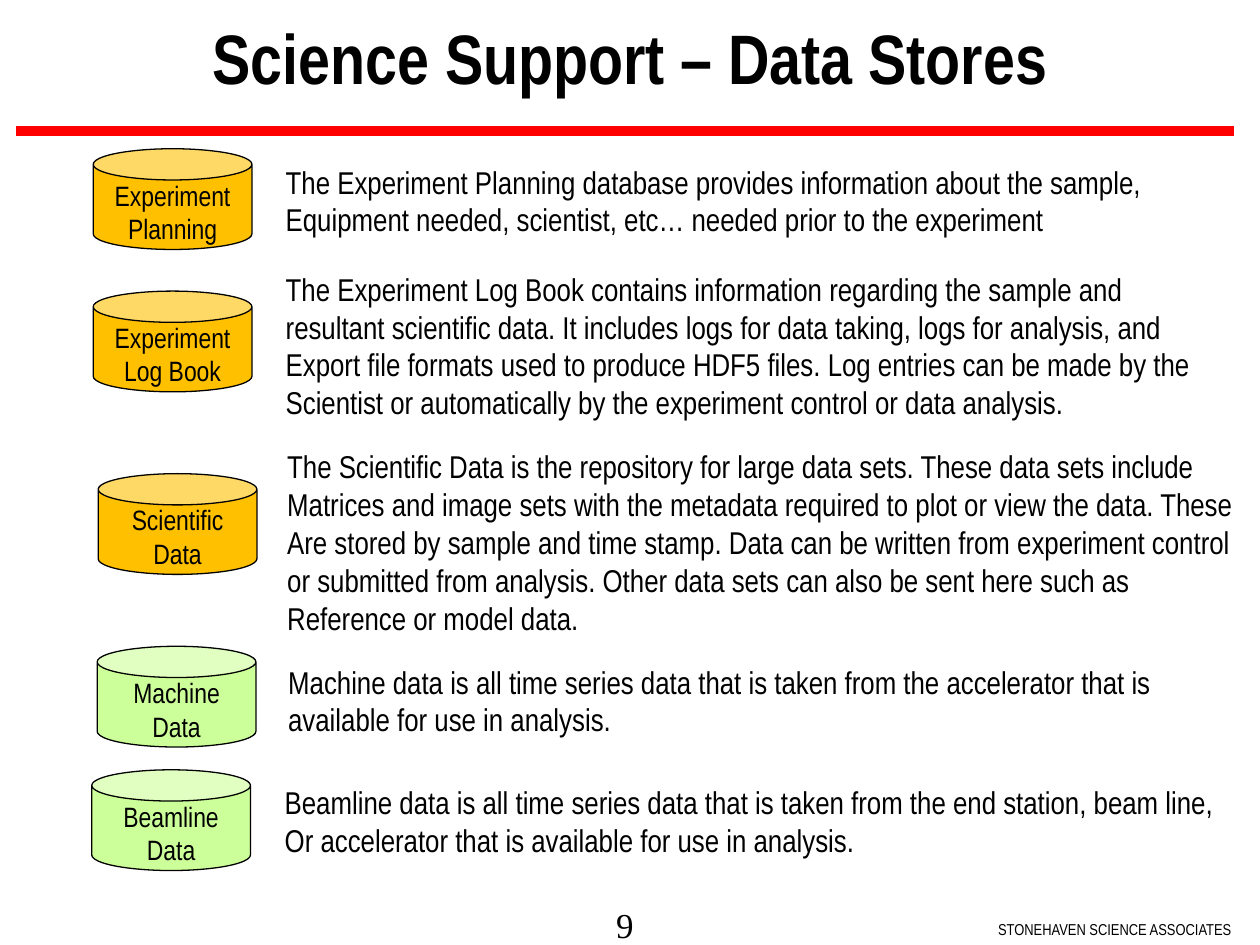
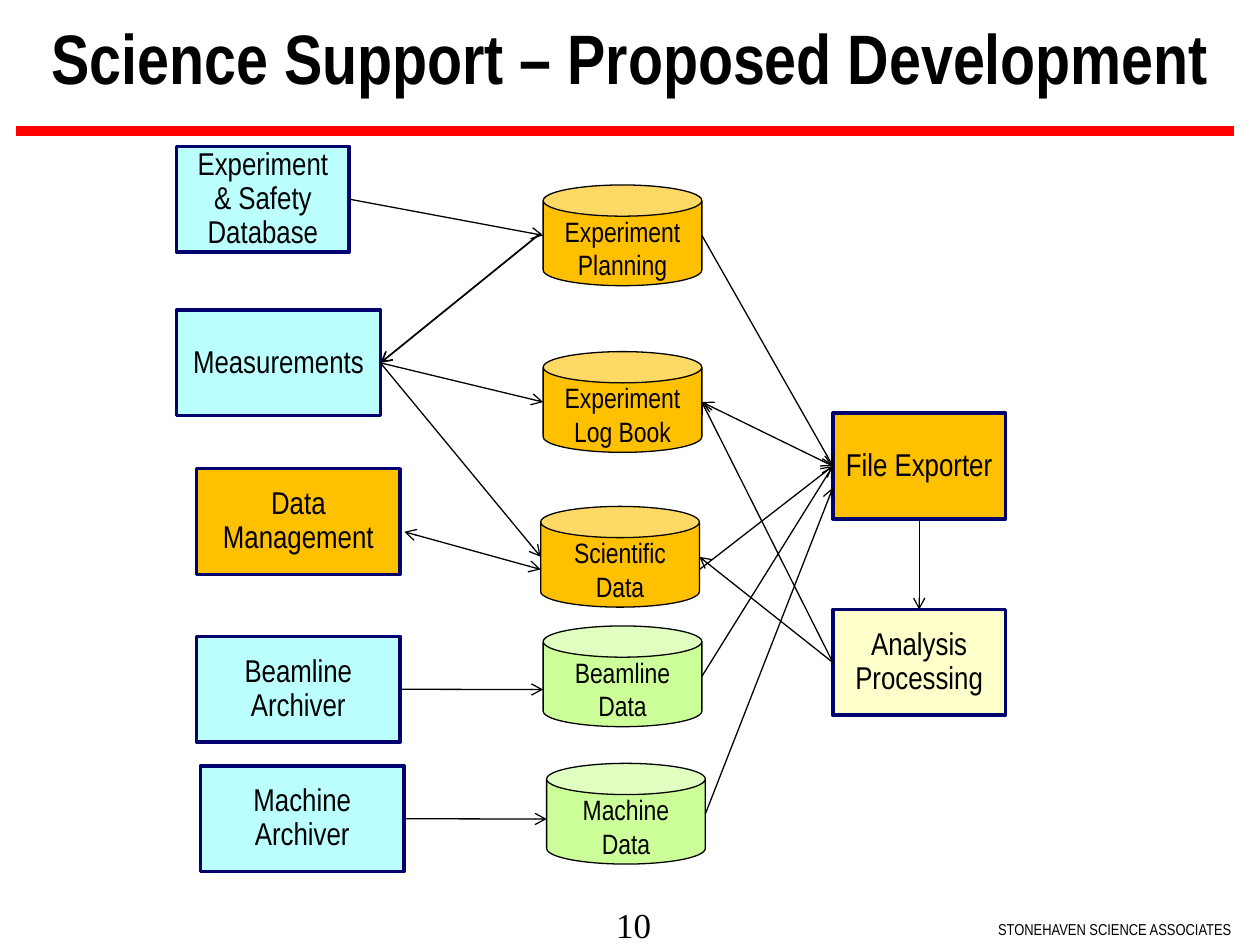
import pptx
import pptx.util
import pptx.dml.color
import pptx.enum.shapes
import pptx.enum.text
import pptx.oxml.ns
import lxml.etree

Cm = pptx.util.Cm
Pt = pptx.util.Pt
RGBColor = pptx.dml.color.RGBColor
KIND = pptx.enum.shapes.MSO_SHAPE
LINE = pptx.enum.shapes.MSO_CONNECTOR.STRAIGHT
ALIGN = pptx.enum.text.PP_ALIGN
MIDDLE = pptx.enum.text.MSO_ANCHOR.MIDDLE

BLACK = RGBColor(0, 0, 0)
RED = RGBColor(0xFF, 0, 0)
NAVY = RGBColor(0, 0, 0x6F)
GOLD = RGBColor(0xFF, 0xC0, 0)
GREEN = RGBColor(0xCC, 0xFF, 0x99)
CYAN = RGBColor(0xBC, 0xFF, 0xFF)
CREAM = RGBColor(0xFF, 0xFF, 0xCC)

CAN_W, CAN_H = 3.2, 2.03
BOX_H = 2.13


def write(text, shape, size=18, font="Arial Narrow", bold=False, center=False,
          middle=False, wrap=True, inset=(0.25, 0.13), spacing=None, before=None):
    """Fill a shape with text, one paragraph for each line."""
    frame = shape.text_frame
    frame.word_wrap = wrap
    frame.margin_left = frame.margin_right = Cm(inset[0])
    frame.margin_top = frame.margin_bottom = Cm(inset[1])
    if middle:
        frame.vertical_anchor = MIDDLE
    frame.text = text
    for para in frame.paragraphs:
        para.alignment = ALIGN.CENTER if center else ALIGN.LEFT
        if spacing:
            para.line_spacing = spacing
        if before:
            para.space_before = Pt(before)
        para.font.size = Pt(size)
        para.font.name = font
        para.font.bold = bold
        para.font.color.rgb = BLACK


def link(slide, start, end, color=BLACK, width=0.75, heads=()):
    """Draw a line; each end is a point in cm or a (shape, side) pair."""
    points = [(0, 0) if isinstance(e[1], int) else e for e in (start, end)]
    line = slide.shapes.add_connector(LINE, *[Cm(v) for p in points for v in p])
    if isinstance(start[1], int):
        line.begin_connect(*start)
    if isinstance(end[1], int):
        line.end_connect(*end)
    line.line.color.rgb = color
    line.line.width = Pt(width)
    for head in heads:
        tip = lxml.etree.SubElement(line.line._get_or_add_ln(), pptx.oxml.ns.qn("a:" + head))
        tip.set("type", "arrow")
    lxml.etree.SubElement(line._element.spPr, pptx.oxml.ns.qn("a:effectLst"))


deck = pptx.Presentation()
deck.slide_width, deck.slide_height = Cm(25.4), Cm(19.05)

# Title, rule and footer of each slide
titles = ["Science Support – Data Stores", "Science Support – Proposed Development"]
slides = []
for page, title in enumerate(titles, 9):
    slide = deck.slides.add_slide(deck.slide_layouts[6])
    slides.append(slide)
    link(slide, (24.87, 2.64), (0.33, 2.64), color=RED, width=6)
    area = slide.shapes.add_textbox(Cm(12.42), Cm(18.21), Cm(1.09), Cm(0.84))
    write(str(page), area, size=20, font="Times New Roman", inset=(0, 0))
    area = slide.shapes.add_textbox(Cm(20.12), Cm(18.42), Cm(4.88), Cm(0.63))
    write("STONEHAVEN SCIENCE ASSOCIATES", area, size=9, inset=(0, 0.13))
    area = slide.shapes.add_textbox(0, 0, Cm(25.4), Cm(2.51))
    write(title, area, size=40, bold=True, center=True, middle=True, spacing=0.9)
stores, plan = slides

# Data stores on both slides
PLAN, LOG, SCI = "Experiment\nPlanning", "Experiment\nLog Book", "Scientific Data"
MACH, BEAM = "Machine Data", "Beamline Data"
cans = [
    (stores, PLAN, 1.88, 3.0, GOLD),
    (stores, LOG, 1.88, 5.87, GOLD),
    (stores, SCI, 1.98, 9.55, GOLD),
    (stores, MACH, 1.96, 13.03, GREEN),
    (stores, BEAM, 1.85, 15.52, GREEN),
    (plan, PLAN, 10.95, 3.73, GOLD),
    (plan, LOG, 10.95, 7.09, GOLD),
    (plan, SCI, 10.9, 10.21, GOLD),
    (plan, MACH, 11.02, 15.39, GREEN),
    (plan, BEAM, 10.95, 12.62, GREEN),
]
left, right = {}, {}
for slide, name, x, y, color in cans:
    can = slide.shapes.add_shape(KIND.CAN, Cm(x), Cm(y), Cm(CAN_W), Cm(CAN_H))
    can.adjustments[0] = 0.31
    can.shadow.inherit = False
    can.fill.solid()
    can.fill.fore_color.rgb = color
    can.line.color.rgb = BLACK
    can.line.width = Pt(0.75)
    label = slide.shapes.add_textbox(Cm(x), Cm(y + 0.46), Cm(CAN_W), Cm(1.63))
    write(name, label, size=16, center=True)
    if slide is plan:
        left[name] = (x, y + CAN_H / 2)
        right[name] = (x + CAN_W, y + CAN_H / 2)

# What each store holds
notes = [
    (5.51, 3.15, 18.14, [
        "The Experiment Planning database provides information about the sample,",
        "Equipment needed, scientist, etc… needed prior to the experiment"]),
    (5.51, 5.31, 18.97, [
        "The Experiment Log Book contains information regarding the sample and",
        "resultant scientific data. It includes logs for data taking, logs for analysis, and",
        "Export file formats used to produce HDF5 files. Log entries can be made by the",
        "Scientist or automatically by the experiment control or data analysis."]),
    (5.54, 8.89, 19.81, [
        "The Scientific Data is the repository for large data sets. These data sets include",
        "Matrices and image sets with the metadata required to plot or view the data. These",
        "Are stored by sample and time stamp. Data can be written from experiment control",
        "or submitted from analysis. Other data sets can also be sent here such as",
        "Reference or model data."]),
    (5.56, 13.23, 18.11, [
        "Machine data is all time series data that is taken from the accelerator that is",
        "available for use in analysis."]),
    (5.49, 15.65, 19.61, [
        "Beamline data is all time series data that is taken from the end station, beam line,",
        "Or accelerator that is available for use in analysis."]),
]
for x, y, width, lines in notes:
    height = 0.27 + 0.77 * len(lines)
    area = stores.shapes.add_textbox(Cm(x), Cm(y), Cm(width), Cm(height))
    write("\n".join(lines), area, wrap=False)

# Programs that use the stores
boxes = {}
for name, x, y, width, color in [
    ("Experiment & Safety Database", 3.56, 2.95, 3.48, CYAN),
    ("Measurements", 3.56, 6.25, 4.11, CYAN),
    ("Data Management", 3.96, 9.45, 4.11, GOLD),
    ("Beamline Archiver", 3.96, 12.83, 4.11, CYAN),
    ("Machine Archiver", 4.04, 15.44, 4.11, CYAN),
    ("File Exporter", 16.79, 8.33, 3.48, GOLD),
    ("Analysis Processing", 16.79, 12.29, 3.48, CREAM),
]:
    box = plan.shapes.add_shape(KIND.RECTANGLE, Cm(x), Cm(y), Cm(width), Cm(BOX_H))
    box.shadow.inherit = False
    box.fill.solid()
    box.fill.fore_color.rgb = color
    box.line.color.rgb = NAVY
    box.line.width = Pt(2)
    write(name, box, center=True, middle=True, spacing=0.9, before=11.2)
    boxes[name] = box

# Data flow; sides are 0 top, 1 left, 2 bottom, 3 right
safe = (boxes["Experiment & Safety Database"], 3)
meas = (boxes["Measurements"], 3)
file = (boxes["File Exporter"], 1)
work = (boxes["Analysis Processing"], 1)
ONE, BOTH = ["tailEnd"], ["headEnd", "tailEnd"]
for start, end, width, heads in [
    (safe, left[PLAN], 0.75, ONE),
    (meas, left[LOG], 0.75, ONE),
    ((10.9, 4.7), meas, 1, ONE),
    (meas, left[SCI], 0.75, ONE),
    ((boxes["Beamline Archiver"], 3), (10.95, 13.9), 0.75, ONE),
    ((boxes["Machine Archiver"], 3), (11.02, 16.51), 0.75, ONE),
    (right[PLAN], file, 0.75, ONE),
    (right[LOG], file, 0.75, BOTH),
    ((14.1, 11.48), file, 0.75, ONE),
    (right[BEAM], file, 0.75, ONE),
    (right[MACH], (16.79, 9.83), 0.75, ONE),
    ((boxes["File Exporter"], 2), (boxes["Analysis Processing"], 0), 0.75, ONE),
    (work, right[SCI], 0.75, ONE),
    (work, right[LOG], 0.75, ONE),
    ((8.15, 10.72), (10.9, 11.48), 0.75, BOTH),
]:
    link(plan, start, end, width=width, heads=heads)

deck.save("out.pptx")
